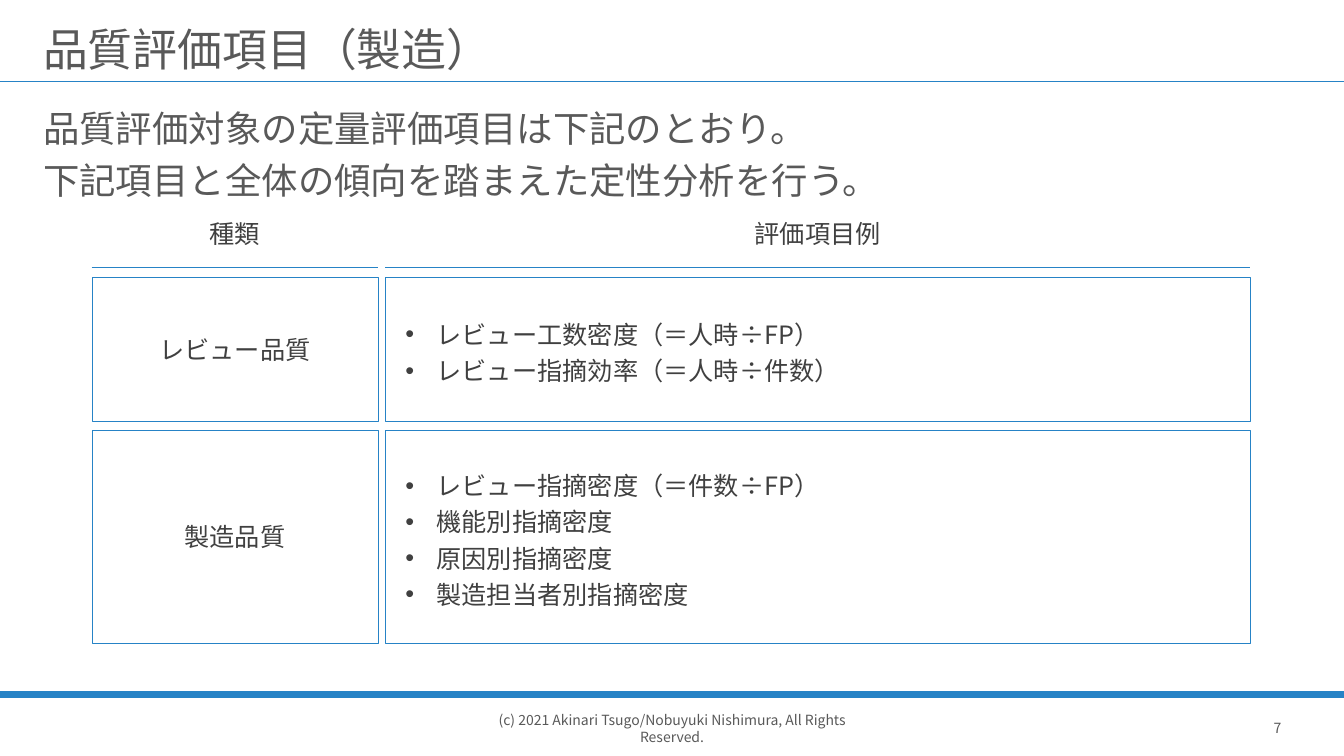
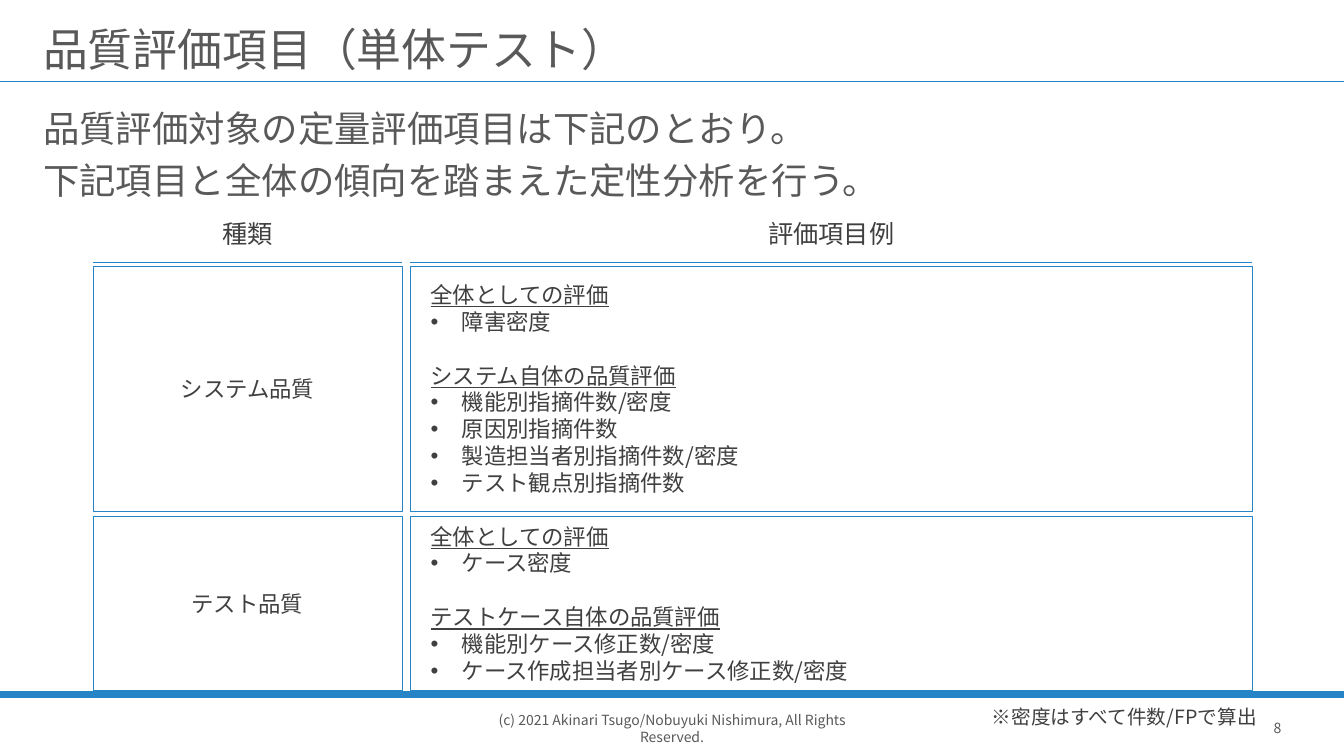
import dataclasses

import lxml.etree
import pptx
import pptx.dml.color
import pptx.enum.shapes
import pptx.enum.text
import pptx.oxml.ns
import pptx.util

Inches = pptx.util.Inches
Pt = pptx.util.Pt
ALIGN = pptx.enum.text.PP_ALIGN
ANCHOR = pptx.enum.text.MSO_ANCHOR
qn = pptx.oxml.ns.qn


@dataclasses.dataclass(frozen=True)
class Theme:
    font: str = "Noto Sans CJK JP"
    accent: str = "2683C6"
    heading: str = "595959"
    text: str = "404040"
    paper: str = "FFFFFF"
    title_size: int = 32
    lead_size: int = 26
    label_size: int = 18
    dense_size: int = 16
    note_size: int = 14
    footer_size: int = 10
    leading: float = 1.2
    hairline: float = 0.25
    title_line: float = 1
    footer_line: float = 4.5
    bullet_indent: float = 0.31


@dataclasses.dataclass(frozen=True)
class Box:
    left: float
    top: float
    width: float
    height: float

    def lengths(self):
        return [Inches(v) for v in (self.left, self.top, self.width, self.height)]


@dataclasses.dataclass(frozen=True)
class Grid:
    left: float
    widths: tuple
    gap: float
    rule_top: float
    size: int
    spacing: float

    def columns(self):
        kind_width, example_width = self.widths
        return [(self.left, kind_width),
                (self.left + kind_width + self.gap, example_width)]


THEME = Theme()
SLIDE_WIDTH, SLIDE_HEIGHT = 13.33, 7.5
HEADER_TOP, HEADER_HEIGHT = 2.09, 0.46
PLAIN_INSETS = (0.1, 0.05, 0.1, 0.05)
LABEL_INSETS = (0.24, 0.08, 0.24, 0.08)
LIST_INSETS = (0.2, 0.08, 0.2, 0.08)
COPYRIGHT = "(c) 2021 Akinari Tsugo/Nobuyuki Nishimura, All Rights Reserved."
LEAD = ["品質評価対象の定量評価項目は下記のとおり。",
        "下記項目と全体の傾向を踏まえた定性分析を行う。"]
HEADERS = ["種類", "評価項目例"]


def rgb(value):
    return pptx.dml.color.RGBColor.from_string(value)


# Text
def style_para(para, size, color, align=ALIGN.LEFT, spacing=1.0):
    para.alignment = align
    para.line_spacing = Pt(round(size * THEME.leading * spacing, 1))
    for span in para.runs:
        span.font.name = THEME.font
        span.font.size = Pt(size)
        span.font.color.rgb = rgb(color)
        east_asian = lxml.etree.SubElement(span.font._element, qn("a:ea"))
        east_asian.set("typeface", THEME.font)


def set_bullet(para):
    properties = para._p.get_or_add_pPr()
    indent = Inches(THEME.bullet_indent)
    properties.set("marL", str(indent))
    properties.set("indent", str(-indent))
    lxml.etree.SubElement(properties, qn("a:buFont")).set("typeface", "Arial")
    lxml.etree.SubElement(properties, qn("a:buChar")).set("char", "•")


def set_frame(frame, insets, anchor, wrap=True):
    frame.word_wrap = wrap
    frame.vertical_anchor = anchor
    (frame.margin_left, frame.margin_top,
     frame.margin_right, frame.margin_bottom) = [Inches(v) for v in insets]


def add_text(page, box, text, size, color, align=ALIGN.LEFT,
             anchor=ANCHOR.TOP, insets=PLAIN_INSETS, wrap=True):
    frame = page.shapes.add_textbox(*box.lengths()).text_frame
    set_frame(frame, insets, anchor, wrap)
    frame.text = text
    for para in frame.paragraphs:
        style_para(para, size, color, align)
    return frame


# Lines and cells
def add_rule(page, left, top, width, weight):
    rule = page.shapes.add_connector(
        pptx.enum.shapes.MSO_CONNECTOR.STRAIGHT,
        Inches(left), Inches(top), Inches(left + width), Inches(top))
    rule.line.color.rgb = rgb(THEME.accent)
    rule.line.width = Pt(weight)
    lxml.etree.SubElement(rule._element.spPr, qn("a:effectLst"))


def add_cell(page, box, insets):
    cell = page.shapes.add_shape(
        pptx.enum.shapes.MSO_SHAPE.RECTANGLE, *box.lengths())
    cell.shadow.inherit = False
    cell.fill.solid()
    cell.fill.fore_color.rgb = rgb(THEME.paper)
    cell.line.color.rgb = rgb(THEME.accent)
    cell.line.width = Pt(THEME.hairline)
    set_frame(cell.text_frame, insets, ANCHOR.MIDDLE)
    return cell.text_frame


def add_label_cell(page, box, label, size):
    frame = add_cell(page, box, LABEL_INSETS)
    frame.text = label
    style_para(frame.paragraphs[0], size, THEME.text, ALIGN.CENTER)


def add_list_cell(page, box, groups, grid):
    """Each group is a heading (or None) and its bulleted items."""
    frame = add_cell(page, box, LIST_INSETS)
    entries = []
    for heading, items in groups:
        if heading:
            entries.append((heading, True))
        entries.extend((item, False) for item in items)
    frame.text = "\n".join(text for text, _ in entries)
    for index, (para, (_, is_heading)) in enumerate(zip(frame.paragraphs, entries)):
        style_para(para, grid.size, THEME.text, spacing=grid.spacing)
        if not is_heading:
            set_bullet(para)
            continue
        para.runs[0].font.underline = True
        if index:
            para.space_before = Pt(round(grid.size * THEME.leading, 1))


# Regions
def add_page_frame(page, title, number):
    add_rule(page, 0, 0.81, SLIDE_WIDTH, THEME.title_line)
    add_rule(page, 0, 6.89, SLIDE_WIDTH, THEME.footer_line)
    for box, text in [(Box(12.34, 6.95, 0.66, 0.55), str(number)),
                      (Box(4.62, 6.95, 4.09, 0.55), COPYRIGHT)]:
        add_text(page, box, text, THEME.footer_size, THEME.heading,
                 ALIGN.CENTER, ANCHOR.MIDDLE, wrap=False)
    add_text(page, Box(0.33, 0.06, 12.67, 0.69), title, THEME.title_size,
             THEME.heading, anchor=ANCHOR.MIDDLE, insets=(0.1, 0.15, 0.1, 0))
    lead = add_text(page, Box(0.33, 1, 12.67, 0.73), "\n".join(LEAD),
                    THEME.lead_size, THEME.heading)
    lead.paragraphs[1].space_before = Pt(6.5)


def add_matrix(page, grid, rows):
    columns = grid.columns()
    for (left, width), header in zip(columns, HEADERS):
        add_rule(page, left, grid.rule_top, width, THEME.hairline)
        add_text(page, Box(left, HEADER_TOP, width, HEADER_HEIGHT), header,
                 THEME.label_size, THEME.text, ALIGN.CENTER, insets=LABEL_INSETS)
    for top, height, label, groups in rows:
        label_box, list_box = [Box(left, top, width, height)
                               for left, width in columns]
        add_label_cell(page, label_box, label, grid.size)
        add_list_cell(page, list_box, groups, grid)


def add_evaluation_slide(deck, number, title, grid, rows, note=None):
    page = deck.slides.add_slide(deck.slide_layouts[6])
    add_page_frame(page, title, number)
    add_matrix(page, grid, rows)
    if note:
        add_text(page, Box(9.74, 6.94, 2.92, 0.34), note,
                 THEME.note_size, THEME.text)


# Content: top, height, kind, groups of examples
MANUFACTURING_ROWS = [
    (2.75, 1.43, "レビュー品質", [
        (None, ["レビュー工数密度（＝人時÷FP）", "レビュー指摘効率（＝人時÷件数）"])]),
    (4.27, 2.11, "製造品質", [
        (None, ["レビュー指摘密度（＝件数÷FP）", "機能別指摘密度",
                "原因別指摘密度", "製造担当者別指摘密度"])]),
]
UNIT_TEST_ROWS = [
    (2.64, 2.43, "システム品質", [
        ("全体としての評価", ["障害密度"]),
        ("システム自体の品質評価", ["機能別指摘件数/密度", "原因別指摘件数",
                          "製造担当者別指摘件数/密度", "テスト観点別指摘件数"])]),
    (5.12, 1.73, "テスト品質", [
        ("全体としての評価", ["ケース密度"]),
        ("テストケース自体の品質評価", ["機能別ケース修正数/密度",
                            "ケース作成担当者別ケース修正数/密度"])]),
]


def main():
    deck = pptx.Presentation()
    deck.slide_width = Inches(SLIDE_WIDTH)
    deck.slide_height = Inches(SLIDE_HEIGHT)
    add_evaluation_slide(
        deck, 7, "品質評価項目（製造）",
        Grid(0.91, (2.84, 8.58), 0.07, 2.65, THEME.label_size, 1.2),
        MANUFACTURING_ROWS)
    add_evaluation_slide(
        deck, 8, "品質評価項目（単体テスト）",
        Grid(0.92, (3.07, 8.35), 0.08, 2.6, THEME.dense_size, 1.0),
        UNIT_TEST_ROWS, note="※密度はすべて件数/FPで算出")
    deck.save("out.pptx")


if __name__ == "__main__":
    main()
